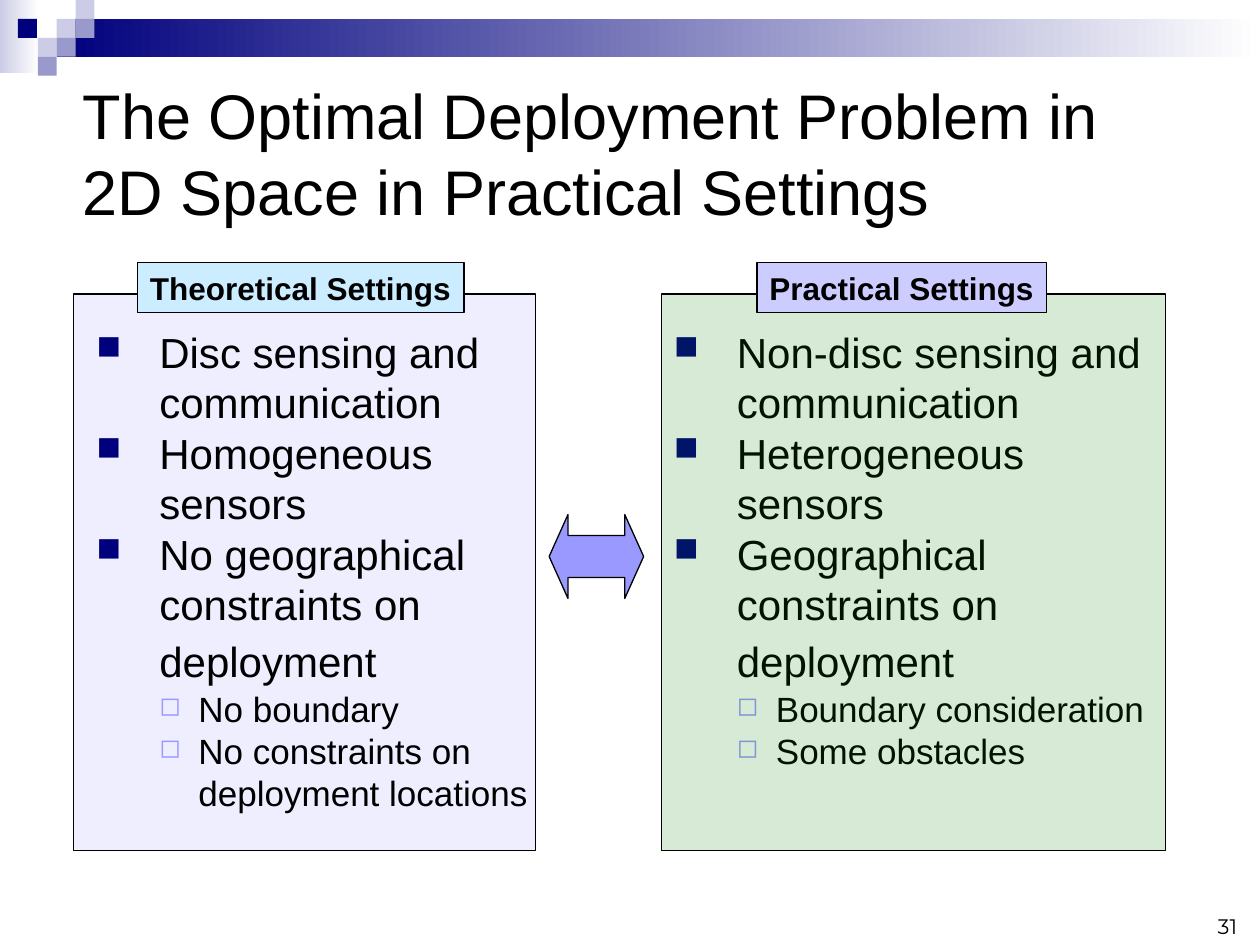
from dataclasses import dataclass

from lxml.etree import SubElement
from pptx import Presentation
from pptx.dml.color import RGBColor
from pptx.enum.shapes import MSO_SHAPE as Shape
from pptx.enum.text import MSO_ANCHOR as Anchor, MSO_AUTO_SIZE as AutoSize, PP_ALIGN as Align
from pptx.oxml.ns import qn
from pptx.util import Inches, Pt

COLORS = {
    "black": "000000", "white": "FFFFFF", "navy": "00007D", "mist": "CCCCE6",
    "steel": "9999CC", "violet": "9999FF", "green": "008000",
    "sky": "CCECFF", "lilac": "CCCCFF",
}
CELL = Inches(10) / 120  # the slide is a grid of 120 columns by 90 rows
TILE = 1.8  # side of a corner tile, in cells
PANEL_ALPHA = 16  # percent


@dataclass(frozen=True)
class Area:
    """A rectangle in grid cells."""
    col: float
    row: float
    cols: float
    rows: float

    def emu(self) -> list[int]:
        return [round(n * CELL) for n in (self.col, self.row, self.cols, self.rows)]


@dataclass(frozen=True)
class Level:
    bullet: str
    color: str
    bullet_percent: int
    size: int
    margin: float
    hang: float


@dataclass(frozen=True)
class Setting:
    heading: str
    heading_area: Area
    heading_fill: str
    panel: Area
    panel_fill: str
    panel_in_front: bool
    list_area: Area
    points: tuple[str, ...]
    subpoints: tuple[str, ...]


POINT = Level("■", "navy", 80, 24, 0.5, 0.5)
SUBPOINT = Level("◻", "violet", 75, 20, 0.81, 0.31)

SETTINGS = (
    Setting(
        "Theoretical Settings", Area(13.1, 25, 31.1, 4.8), "sky",
        Area(7, 28, 44, 53), "violet", False, Area(8, 30.5, 49, 51.6),
        ("Disc sensing and communication", "Homogeneous sensors",
         "No geographical constraints on deployment"),
        ("No boundary", "No constraints on deployment locations"),
    ),
    Setting(
        "Practical Settings", Area(72.1, 25, 27.6, 4.8), "lilac",
        Area(63, 28, 48, 53), "green", True, Area(63, 30.5, 49, 55.7),
        ("Non-disc sensing and communication", "Heterogeneous sensors",
         "Geographical constraints on deployment"),
        ("Boundary consideration", "Some obstacles"),
    ),
)

# Corner tiles: column and row in tiles, colour
TILES = (
    (3, 1, "mist"), (4, 0, "mist"), (4, 1, "steel"), (2, 2, "mist"),
    (0.95, 1, "navy"), (3, 2, "steel"), (2, 3, "steel"),
)


def rgb(name: str) -> RGBColor:
    return RGBColor.from_string(COLORS[name])


def add_block(page, area: Area, fill: str, kind=Shape.RECTANGLE, outlined: bool = True):
    block = page.shapes.add_shape(kind, *area.emu())
    block.shadow.inherit = False
    block.fill.solid()
    block.fill.fore_color.rgb = rgb(fill)
    if outlined:
        block.line.color.rgb = rgb("black")
        block.line.width = Pt(0.75)
    else:
        block.line.fill.background()
    return block


def add_fade(page, area: Area, start: str) -> None:
    """Add a bar that fades to white from left to right."""
    bar = add_block(page, area, start, outlined=False)
    bar.fill.gradient()
    bar.fill.gradient_angle = 0
    for stop, name, position in zip(bar.fill.gradient_stops, (start, "white"), (0, 1)):
        stop.color.rgb = rgb(name)
        stop.position = position


def add_panel(page, setting: Setting) -> None:
    panel = add_block(page, setting.panel, setting.panel_fill)
    color = panel.fill._xPr.find(qn("a:solidFill")).find(qn("a:srgbClr"))
    SubElement(color, qn("a:alpha"), val=str(PANEL_ALPHA * 1000))


def style(para, size: int, font: str = "Arial", bold: bool = False) -> None:
    para.font.size = Pt(size)
    para.font.name = font
    para.font.bold = bold
    para.font.color.rgb = rgb("black")


def add_text(page, area: Area, text: str, size: int, font: str = "Arial"):
    box = page.shapes.add_textbox(*area.emu())
    box.text_frame.word_wrap = True
    para = box.text_frame.paragraphs[0]
    para.text = text
    style(para, size, font)
    return box


def set_bullet(para, level: Level) -> None:
    props = para._p.get_or_add_pPr()
    props.set("marL", str(Inches(level.margin)))
    props.set("indent", str(-Inches(level.hang)))
    color = SubElement(props, qn("a:buClr"))
    SubElement(color, qn("a:srgbClr"), val=COLORS[level.color])
    SubElement(props, qn("a:buSzPct"), val=str(level.bullet_percent * 1000))
    SubElement(props, qn("a:buChar"), char=level.bullet)


def add_list(page, setting: Setting) -> None:
    frame = page.shapes.add_textbox(*setting.list_area.emu()).text_frame
    frame.word_wrap = True
    entries = [(text, POINT) for text in setting.points]
    entries += [(text, SUBPOINT) for text in setting.subpoints]
    for index, (text, level) in enumerate(entries):
        para = frame.add_paragraph() if index else frame.paragraphs[0]
        para.level = int(level is SUBPOINT)
        para.add_run().text = text
        set_bullet(para, level)
        style(para, level.size)
        if text == setting.points[-1]:  # a larger space opens up the last line
            span = para.add_run()
            span.text = " "
            span.font.size = Pt(28)


def add_heading(page, setting: Setting) -> None:
    frame = add_block(page, setting.heading_area, setting.heading_fill).text_frame
    frame.word_wrap = False
    frame.auto_size = AutoSize.SHAPE_TO_FIT_TEXT
    frame.vertical_anchor = Anchor.TOP
    para = frame.paragraphs[0]
    para.text = setting.heading
    para.alignment = Align.LEFT
    style(para, 18, bold=True)


def add_corner(page) -> None:
    add_fade(page, Area(0, 0, 3.7, 7), "mist")
    add_fade(page, Area(3 * TILE, TILE, 120 - 3 * TILE, 2 * TILE), "navy")
    for col, row, fill in TILES:
        add_block(page, Area(col * TILE, row * TILE, TILE, TILE), fill, outlined=False)


def main() -> None:
    deck = Presentation()
    deck.slide_width, deck.slide_height = Inches(10), Inches(7.5)
    page = deck.slides.add_slide(deck.slide_layouts[6])

    add_corner(page)
    number = add_text(page, Area(91, 84, 28, 6), "31", 12, "Montserrat")
    number.text_frame.vertical_anchor = Anchor.BOTTOM
    number.text_frame.paragraphs[0].alignment = Align.RIGHT
    add_text(page, Area(6.7, 6.7, 103, 15.6),
             "The Optimal Deployment Problem in 2D Space in Practical Settings", 36)

    for setting in SETTINGS:
        layers = (add_list, add_panel) if setting.panel_in_front else (add_panel, add_list)
        for draw in layers:
            draw(page, setting)
    arrow = add_block(page, Area(52.3, 49, 9, 8), "violet", Shape.LEFT_RIGHT_ARROW)
    arrow.adjustments[0], arrow.adjustments[1] = 0.5, 0.225
    for setting in SETTINGS:
        add_heading(page, setting)

    deck.save("out.pptx")


if __name__ == "__main__":
    main()
